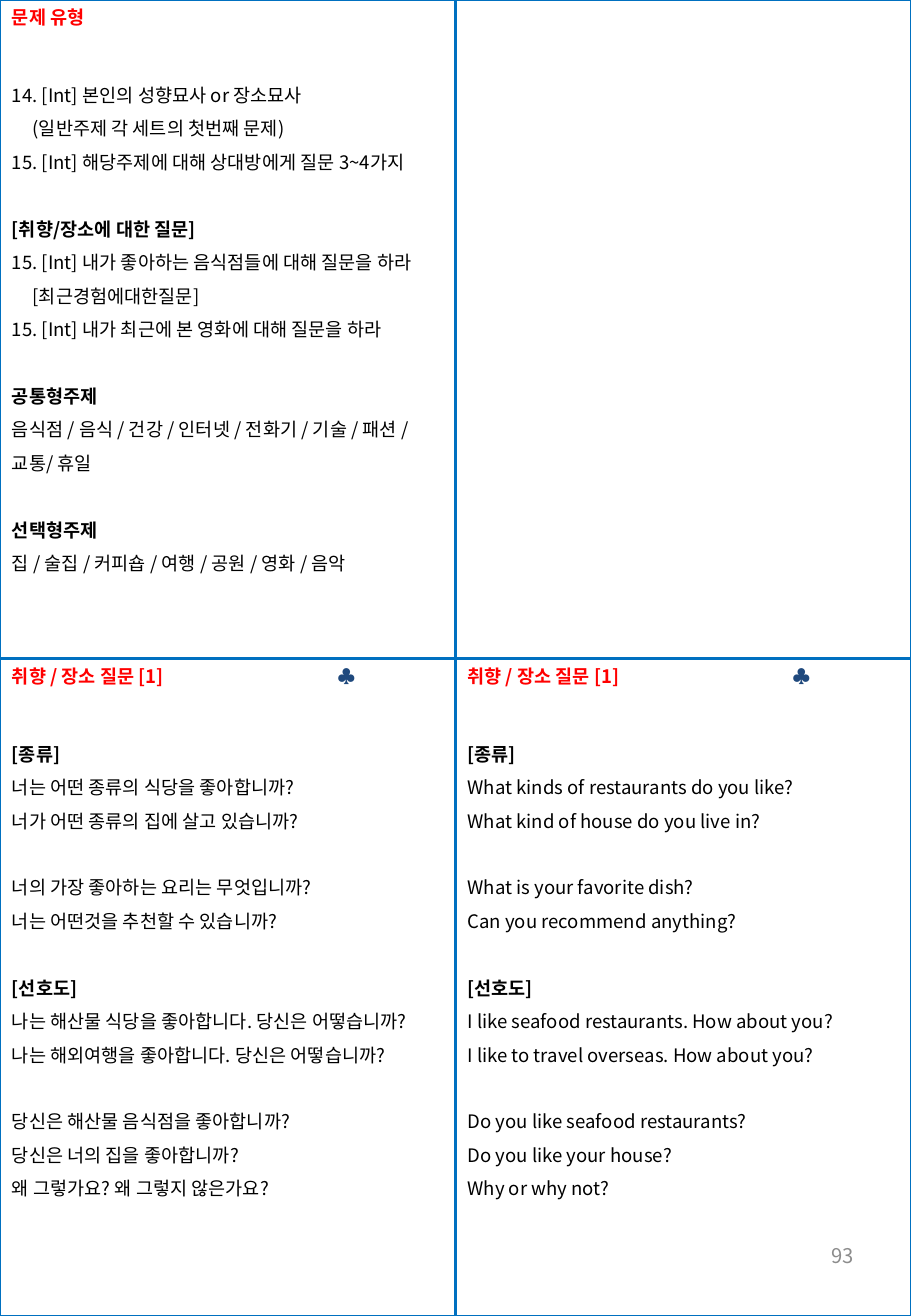
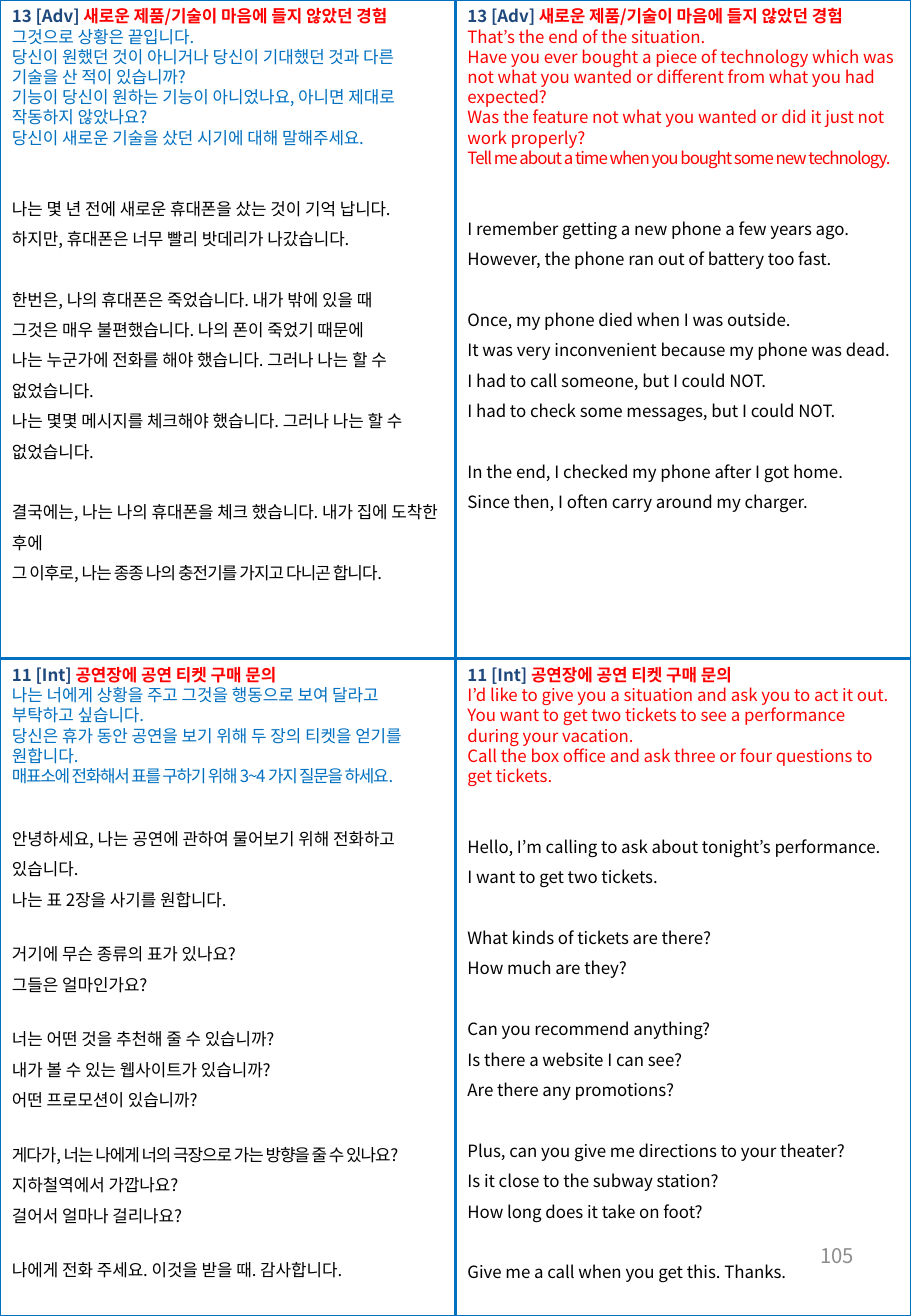
from lxml.etree import SubElement
from pptx import Presentation
from pptx.dml.color import RGBColor
from pptx.enum.shapes import MSO_CONNECTOR, MSO_SHAPE
from pptx.enum.text import MSO_ANCHOR, MSO_AUTO_SIZE, PP_ALIGN
from pptx.oxml.ns import qn
from pptx.util import Inches, Pt

WIDTH, HEIGHT = 7.5, 10.83
COLUMN, ROW = 3.75, 5.42
FONT = "Noto Sans CJK KR"
RED, BLUE, NAVY, GREY, BLACK = "FF0000", "0070C0", "1F497D", "8C8C8C", "000000"
QUESTION_COLOURS = (BLUE, RED)
SINGLE, WIDE = 1.2, 1.8  # line pitch as a multiple of the text size
INDENT = {"indent": 0.17}
CLUB_TAB = 2.68


def colour(hex_text):
    return RGBColor.from_string(hex_text)


class CardDeck:
    """Pages divided into four study cards."""

    def __init__(self):
        self.deck = Presentation()
        self.deck.slide_width = Inches(WIDTH)
        self.deck.slide_height = Inches(HEIGHT)
        self.page = None

    def add_page(self, number):
        self.page = self.deck.slides.add_slide(self.deck.slide_layouts[6])
        self.rule(0, ROW, WIDTH, ROW)
        self.rule(COLUMN, 0, COLUMN, HEIGHT)
        self.frame()
        self.page_number(number)

    def style_line(self, line):
        line.color.rgb = colour(BLUE)
        line.width = Pt(1.5)

    def rule(self, *ends):
        rule = self.page.shapes.add_connector(
            MSO_CONNECTOR.STRAIGHT, *(Inches(end) for end in ends))
        self.style_line(rule.line)
        SubElement(rule._element.spPr, qn("a:effectLst"))

    def frame(self):
        frame = self.page.shapes.add_shape(
            MSO_SHAPE.RECTANGLE, 0, 0, Inches(WIDTH), Inches(HEIGHT))
        frame.shadow.inherit = False
        frame.fill.background()
        self.style_line(frame.line)

    def text_box(self, left, top, width, height):
        box = self.page.shapes.add_textbox(
            Inches(left), Inches(top), Inches(width), Inches(height))
        box.text_frame.word_wrap = True
        return box.text_frame

    def page_number(self, number):
        frame = self.text_box(5.38, 10.04, 1.75, 0.58)
        frame.vertical_anchor = MSO_ANCHOR.MIDDLE
        para = frame.paragraphs[0]
        para.alignment = PP_ALIGN.RIGHT
        self.span(para, str(number), 12, GREY)

    def span(self, para, text, size, ink, bold=False, tight=0):
        """Add a run; tight is the letter spacing in points."""
        span = para.add_run()
        span.text = text
        span.font.size = Pt(size)
        span.font.bold = bold
        span.font.name = FONT
        span.font.color.rgb = colour(ink)
        properties = span.font._element
        SubElement(properties, qn("a:ea")).set("typeface", FONT)
        if tight:
            properties.set("spc", str(round(tight * 100)))

    def line(self, frame, line, size, ink, pitch, before=0, bold=False):
        """Add one paragraph; line is a text or a (text, options) pair."""
        text, options = (line, {}) if isinstance(line, str) else line
        para = frame.add_paragraph()
        para.line_spacing = Pt(size * pitch)
        para.space_before = Pt(before)
        if "indent" in options:
            para._p.get_or_add_pPr().set("marL", str(Inches(options["indent"])))
        self.span(para, text, size, ink, bold, options.get("tight", 0))

    def title(self, para, spans, size):
        para.line_spacing = Pt(size * SINGLE)
        if any("\t" in text for text, _ in spans):
            tabs = SubElement(para._p.get_or_add_pPr(), qn("a:tabLst"))
            tab = SubElement(tabs, qn("a:tab"))
            tab.set("pos", str(Inches(CLUB_TAB)))
            tab.set("algn", "l")
        for text, ink in spans:
            self.span(para, text, size, ink, bold=True)

    def card(self, column, row, height, title, groups, size, question=(), gap=None):
        """Add a card; gap is the text size that sets the space between groups."""
        gap = gap or size
        frame = self.text_box(column * COLUMN, row * ROW, COLUMN, height)
        frame.auto_size = MSO_AUTO_SIZE.SHAPE_TO_FIT_TEXT
        self.title(frame.paragraphs[0], title, size)
        for line in question:
            self.line(frame, line, size, QUESTION_COLOURS[column], SINGLE)
        before = 2 * SINGLE * gap
        for heading, lines in groups:
            if heading:
                self.line(frame, heading, size, BLACK, WIDE, before, bold=True)
                before = 0
            for line in lines:
                self.line(frame, line, size, BLACK, WIDE, before)
                before = 0
            before = WIDE * gap


TYPES_TITLE = [("문제 유형", RED)]
TASTE_TITLE = [("취향 / 장소 질문 [1]\t", RED), ("♣", NAVY)]
PRODUCT_TITLE = [("13 [Adv] ", NAVY), ("새로운 제품/기술이 마음에 들지 않았던 경험", RED)]
TICKET_TITLE = [("11 [Int] ", NAVY), ("공연장에 공연 티켓 구매 문의", RED)]

TYPES = [
    (None, ["14. [Int] 본인의 성향묘사 or 장소묘사",
            ("(일반주제 각 세트의 첫번째 문제)", INDENT),
            "15. [Int] 해당주제에 대해 상대방에게 질문 3~4가지"]),
    ("[취향/장소에 대한 질문]", [
        "15. [Int] 내가 좋아하는 음식점들에 대해 질문을 하라",
        ("[최근경험에대한질문]", INDENT),
        "15. [Int] 내가 최근에 본 영화에 대해 질문을 하라"]),
    ("공통형주제", ["음식점 / 음식 / 건강 / 인터넷 / 전화기 / 기술 / 패션 / 교통/ 휴일"]),
    ("선택형주제", ["집 / 술집 / 커피숍 / 여행 / 공원 / 영화 / 음악"]),
]
TASTE_KOREAN = [
    ("[종류]", ["너는 어떤 종류의 식당을 좋아합니까?", "너가 어떤 종류의 집에 살고 있습니까?"]),
    (None, ["너의 가장 좋아하는 요리는 무엇입니까?", "너는 어떤것을 추천할 수 있습니까?"]),
    ("[선호도]", ["나는 해산물 식당을 좋아합니다. 당신은 어떻습니까?",
               "나는 해외여행을 좋아합니다. 당신은 어떻습니까?"]),
    (None, ["당신은 해산물 음식점을 좋아합니까?", "당신은 너의 집을 좋아합니까?",
            "왜 그렇가요? 왜 그렇지 않은가요?"]),
]
TASTE_ENGLISH = [
    ("[종류]", ["What kinds of restaurants do you like?", "What kind of house do you live in?"]),
    (None, ["What is your favorite dish?", "Can you recommend anything?"]),
    ("[선호도]", ["I like seafood restaurants. How about you?",
               "I like to travel overseas. How about you?"]),
    (None, ["Do you like seafood restaurants?", "Do you like your house?", "Why or why not?"]),
]

PRODUCT_QUESTION_KOREAN = [
    "그것으로 상황은 끝입니다.",
    "당신이 원했던 것이 아니거나 당신이 기대했던 것과 다른 기술을 산 적이 있습니까?",
    "기능이 당신이 원하는 기능이 아니었나요, 아니면 제대로 작동하지 않았나요?",
    "당신이 새로운 기술을 샀던 시기에 대해 말해주세요.",
]
PRODUCT_KOREAN = [
    (None, ["나는 몇 년 전에 새로운 휴대폰을 샀는 것이 기억 납니다.",
            "하지만, 휴대폰은 너무 빨리 밧데리가 나갔습니다."]),
    (None, ["한번은, 나의 휴대폰은 죽었습니다. 내가 밖에 있을 때",
            "그것은 매우 불편했습니다. 나의 폰이 죽었기 때문에",
            "나는 누군가에 전화를 해야 했습니다. 그러나 나는 할 수 없었습니다.",
            "나는 몇몇 메시지를 체크해야 했습니다. 그러나 나는 할 수 없었습니다."]),
    (None, ["결국에는, 나는 나의 휴대폰을 체크 했습니다. 내가 집에 도착한 후에",
            ("그 이후로, 나는 종종 나의 충전기를 가지고 다니곤 합니다.", {"tight": -0.5})]),
]
PRODUCT_QUESTION_ENGLISH = [
    "That’s the end of the situation.",
    "Have you ever bought a piece of technology which was not what you wanted "
    "or different from what you had expected?",
    "Was the feature not what you wanted or did it just not work properly?",
    ("Tell me about a time when you bought some new technology.", {"tight": -0.6}),
]
PRODUCT_ENGLISH = [
    (None, ["I remember getting a new phone a few years ago.",
            "However, the phone ran out of battery too fast."]),
    (None, ["Once, my phone died when I was outside.",
            "It was very inconvenient because my phone was dead.",
            "I had to call someone, but I could NOT.",
            "I had to check some messages, but I could NOT."]),
    (None, ["In the end, I checked my phone after I got home.",
            "Since then, I often carry around my charger."]),
]

TICKET_QUESTION_KOREAN = [
    "나는 너에게 상황을 주고 그것을 행동으로 보여 달라고 부탁하고 싶습니다.",
    "당신은 휴가 동안 공연을 보기 위해 두 장의 티켓을 얻기를 원합니다.",
    ("매표소에 전화해서 표를 구하기 위해 3~4 가지 질문을 하세요.", {"tight": -0.7}),
]
TICKET_KOREAN = [
    (None, ["안녕하세요, 나는 공연에 관하여 물어보기 위해 전화하고 있습니다.",
            "나는 표 2장을 사기를 원합니다."]),
    (None, ["거기에 무슨 종류의 표가 있나요?", "그들은 얼마인가요?"]),
    (None, ["너는 어떤 것을 추천해 줄 수 있습니까?", "내가 볼 수 있는 웹사이트가 있습니까?",
            "어떤 프로모션이 있습니까?"]),
    (None, [("게다가, 너는 나에게 너의 극장으로 가는 방향을 줄 수 있나요?", {"tight": -0.6}),
            "지하철역에서 가깝나요?", "걸어서 얼마나 걸리나요?"]),
    (None, ["나에게 전화 주세요. 이것을 받을 때. 감사합니다."]),
]
TICKET_QUESTION_ENGLISH = [
    "I’d like to give you a situation and ask you to act it out.",
    "You want to get two tickets to see a performance during your vacation.",
    "Call the box office and ask three or four questions to get tickets.",
]
TICKET_ENGLISH = [
    (None, ["Hello, I’m calling to ask about tonight’s performance.", "I want to get two tickets."]),
    (None, ["What kinds of tickets are there?", "How much are they?"]),
    (None, ["Can you recommend anything?", "Is there a website I can see?",
            "Are there any promotions?"]),
    (None, ["Plus, can you give me directions to your theater?",
            "Is it close to the subway station?", "How long does it take on foot?"]),
    (None, ["Give me a call when you get this. Thanks."]),
]


def main():
    cards = CardDeck()

    cards.add_page(93)
    cards.card(0, 0, 5.06, TYPES_TITLE, TYPES, 11)
    cards.card(0, 1, 4.51, TASTE_TITLE, TASTE_KOREAN, 11)
    cards.card(1, 1, 4.51, TASTE_TITLE, TASTE_ENGLISH, 11)

    cards.add_page(105)
    cards.card(0, 0, 4.86, PRODUCT_TITLE, PRODUCT_KOREAN, 10, PRODUCT_QUESTION_KOREAN)
    cards.card(1, 0, 4.44, PRODUCT_TITLE, PRODUCT_ENGLISH, 10, PRODUCT_QUESTION_ENGLISH)
    cards.card(0, 1, 5.24, TICKET_TITLE, TICKET_KOREAN, 10, TICKET_QUESTION_KOREAN, gap=8)
    cards.card(1, 1, 5.2, TICKET_TITLE, TICKET_ENGLISH, 10, TICKET_QUESTION_ENGLISH)

    cards.deck.save("out.pptx")


if __name__ == "__main__":
    main()
